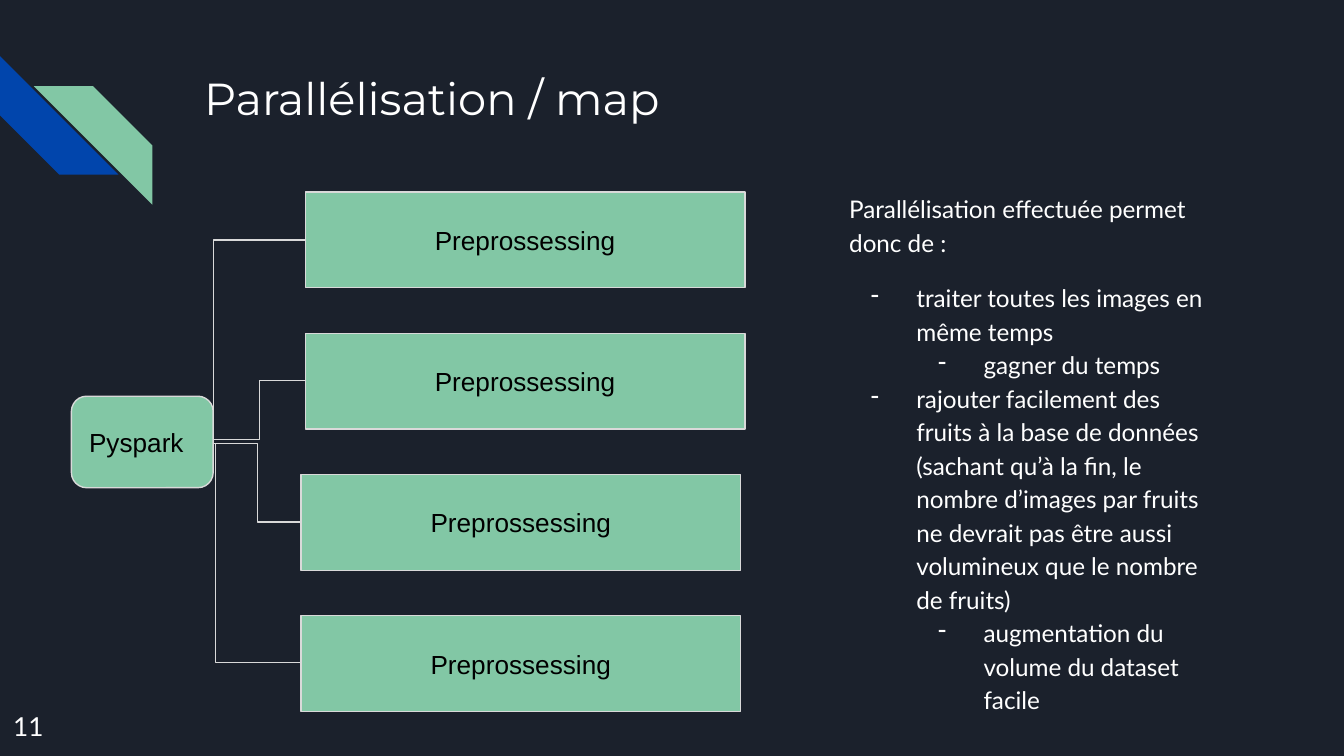
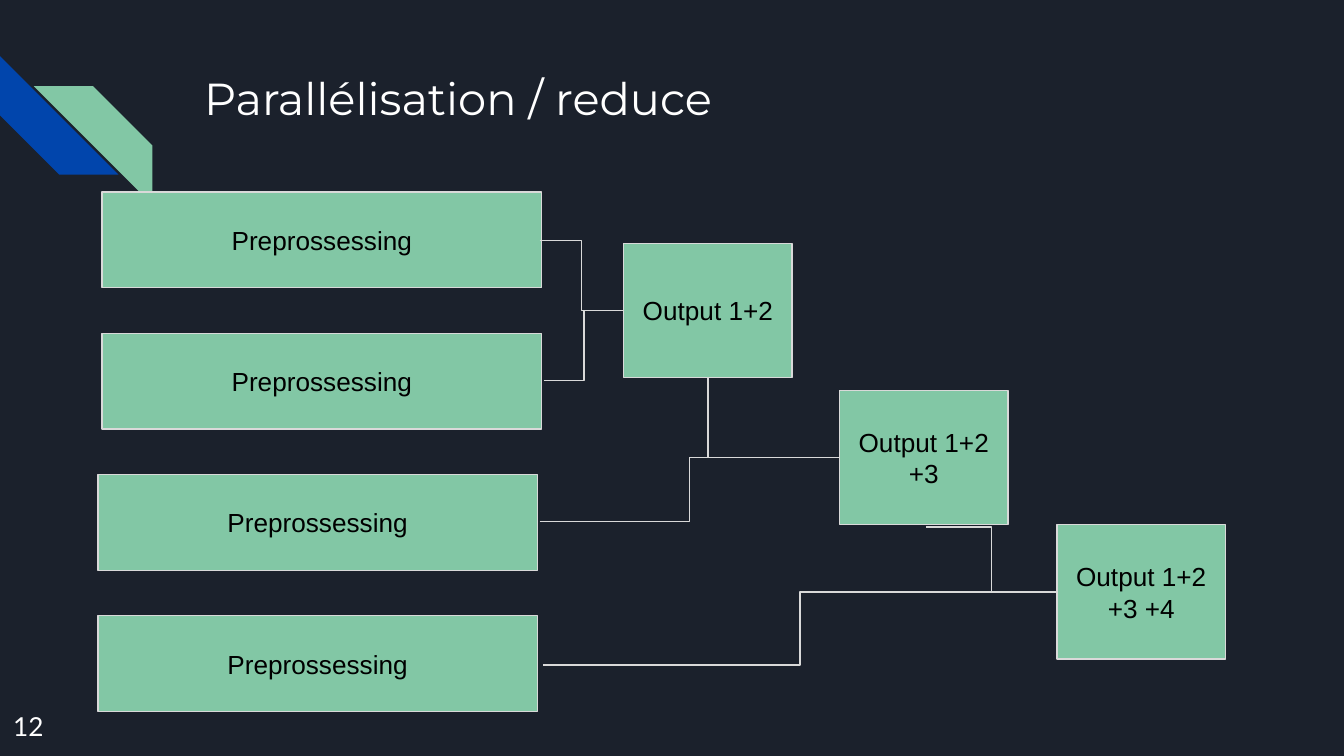
from lxml import etree
from pptx import Presentation
from pptx.dml.color import RGBColor
from pptx.enum.shapes import MSO_CONNECTOR, MSO_SHAPE
from pptx.enum.text import MSO_ANCHOR, PP_ALIGN
from pptx.oxml.ns import qn
from pptx.util import Cm, Pt

NIGHT = RGBColor(0x1B, 0x21, 0x2C)
BLUE = RGBColor(0x01, 0x45, 0xAC)
GREEN = RGBColor(0x82, 0xC7, 0xA5)
GREY = RGBColor(0xD9, 0xD9, 0xD9)
WHITE = RGBColor(0xFF, 0xFF, 0xFF)
BLACK = RGBColor(0, 0, 0)
RECT, ROUND = MSO_SHAPE.RECTANGLE, MSO_SHAPE.ROUNDED_RECTANGLE
STRIPE = MSO_SHAPE.DIAGONAL_STRIPE
ELBOW = MSO_CONNECTOR.ELBOW
LEFT, CENTER = PP_ALIGN.LEFT, PP_ALIGN.CENTER
TOP, MIDDLE = MSO_ANCHOR.TOP, MSO_ANCHOR.MIDDLE


def write(shape, lines, font, size, color, align=LEFT, anchor=TOP):
    frame = shape.text_frame
    frame.word_wrap = True
    frame.vertical_anchor = anchor
    frame.margin_left = frame.margin_right = Cm(0.25)
    frame.margin_top = frame.margin_bottom = Cm(0.25)
    frame.text = "\n".join(lines)
    for para in frame.paragraphs:
        para.alignment = align
        para.font.name = font
        para.font.size = Pt(size)
        para.font.color.rgb = color


def draw(slide, kind, place, fill):
    shape = slide.shapes.add_shape(kind, *map(Cm, place))
    shape.shadow.inherit = False
    shape.fill.solid()
    shape.fill.fore_color.rgb = fill
    shape.line.fill.background()
    return shape


STEP = "Prepro" + "ssessing"
TOPS = [3.63 + 2.67 * i for i in range(4)]
SHIFTS = [0.08, 0.08, 0, 0]

PAGES = [
    {
        "title": "Parallélisation / map",
        "page": "11",
        "left": 5.69,
        "nodes": [(ROUND, (1.35, 7.49, 2.68, 1.73), "Pyspark", LEFT)],
        "bends": [(4.04, 8.38, 5.69, 9.87), (4.04, 8.31, 5.77, 7.2)],
        "corners": [(5.77, 4.54, 4.04, 8.43), (5.69, 12.53, 4.07, 8.38)],
    },
    {
        "title": "Parallélisation / reduce",
        "page": "12",
        "left": 1.85,
        "nodes": [
            (RECT, (11.79, 4.6, 3.18, 2.54), "Output 1+2", CENTER),
            (RECT, (15.87, 7.38, 3.18, 2.54), "Output 1+2 +3", CENTER),
            (RECT, (19.98, 9.92, 3.18, 2.54), "Output 1+2 +3 +4", CENTER),
        ],
        "bends": [
            (10.2, 4.55, 11.79, 5.87),
            (10.28, 7.2, 11.79, 5.87),
            (10.2, 9.86, 15.87, 8.65),
            (10.26, 12.57, 19.98, 11.19),
            (17.51, 9.96, 19.98, 11.19),
        ],
        "corners": [(15.87, 8.65, 13.38, 7.14)],
    },
]

NOTES = [
    (0, "Parallélisation effectuée permet donc de :"),
    (1, "traiter toutes les images en même temps"),
    (2, "gagner du temps"),
    (1, "rajouter facilement des fruits à la base de données (sachant qu’à la fin, "
        "le nombre d’images par fruits ne devrait pas être aussi volumineux que "
        "le nombre de fruits)"),
    (2, "augmentation du volume du dataset facile"),
]

deck = Presentation()
deck.slide_width, deck.slide_height = Cm(25.4), Cm(14.29)

for page in PAGES:
    slide = deck.slides.add_slide(deck.slide_layouts[6])
    slide.background.fill.solid()
    slide.background.fill.fore_color.rgb = NIGHT

    blue = draw(slide, STRIPE, (0, 1.06, 2.24, 2.24), BLUE)
    blue.rotation = 270
    green = draw(slide, STRIPE, (0.64, 1.63, 2.24, 2.24), GREEN)
    green._element.spPr.find(qn("a:xfrm")).set("flipH", "1")

    title = slide.shapes.add_textbox(Cm(3.61), Cm(1.09), Cm(19.56), Cm(2.54))
    write(title, [page["title"]], "Montserrat", 24, WHITE)
    number = slide.shapes.add_textbox(Cm(0), Cm(13.18), Cm(1.32), Cm(1.12))
    write(number, [page["page"]], "Lato", 14, WHITE)

    steps = [
        (RECT, (page["left"] + shift, top, 8.31, 1.81), STEP, CENTER)
        for top, shift in zip(TOPS, SHIFTS)
    ]
    for kind, place, label, align in steps + page["nodes"]:
        box = draw(slide, kind, place, GREEN)
        box.line.color.rgb = GREY
        box.line.width = Pt(0.75)
        write(box, [label], "Arial", 14, BLACK, align, MIDDLE)

    for shape, routes in (("bentConnector3", page["bends"]),
                          ("bentConnector2", page["corners"])):
        for route in routes:
            link = slide.shapes.add_connector(ELBOW, *map(Cm, route))
            link.line.color.rgb = GREY
            link.line.width = Pt(0.75)
            props = link._element.spPr
            props.find(qn("a:prstGeom")).set("prst", shape)
            etree.SubElement(props, qn("a:effectLst"))

body = deck.slides[0].shapes.add_textbox(Cm(15.8), Cm(3.33), Cm(7.52), Cm(10.44))
write(body, [text for level, text in NOTES], "Lato", 13, WHITE, LEFT, MIDDLE)
for para, (level, text) in zip(body.text_frame.paragraphs, NOTES):
    para.line_spacing = 1.15
    if level:
        para.level = level - 1
        props = para._p.get_or_add_pPr()
        props.set("marL", str(Cm(1.27 * level)))
        props.set("indent", str(Cm(-0.86)))
        mark = etree.Element(qn("a:buChar"), char="-")
        props.find(qn("a:defRPr")).addprevious(mark)
body.text_frame.paragraphs[1].space_before = Pt(12)

deck.save("out.pptx")
